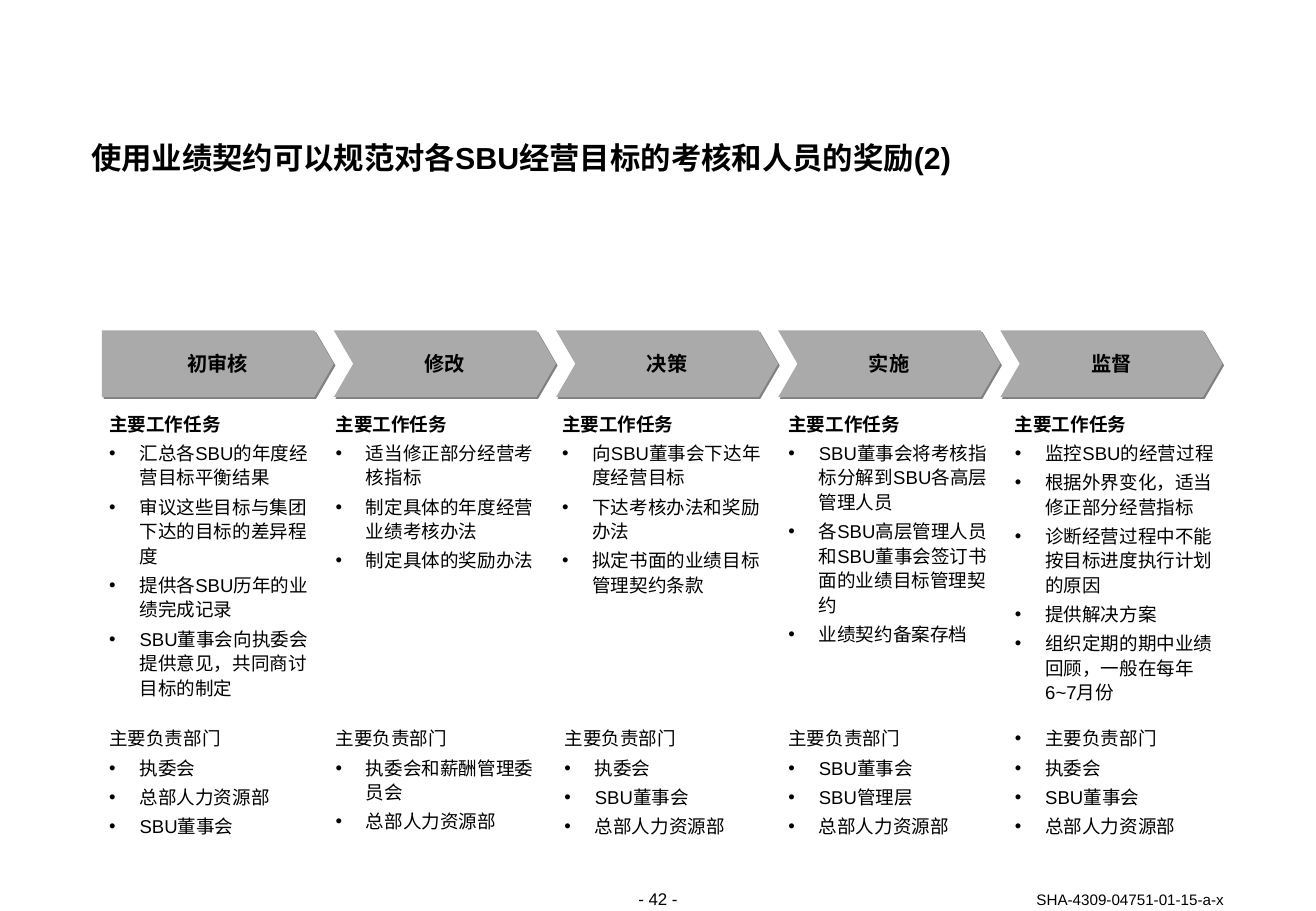
from lxml.etree import SubElement
from pptx import Presentation
from pptx.dml.color import RGBColor
from pptx.enum.lang import MSO_LANGUAGE_ID as Language
from pptx.enum.text import MSO_ANCHOR as Anchor, MSO_AUTO_SIZE as AutoSize, PP_ALIGN as Align
from pptx.oxml.ns import qn
from pptx.util import Inches, Pt

BLACK = RGBColor(0x00, 0x00, 0x00)
GRAY = RGBColor(0xAA, 0xAA, 0xAA)
SHADOW_GRAY = RGBColor(0x80, 0x80, 0x80)

ARROW_TOP, ARROW_HEIGHT, ARROW_POINT = 2.72, 0.55, 0.16
FIRST_ARROW_LEFT, SECOND_ARROW_LEFT, ARROW_STEP = 0.84, 2.75, 1.83
COLUMN_LEFT, COLUMN_SPAN, COLUMN_WIDTH = 0.9, 7.46, 1.66
TASKS_TOP, DEPARTMENTS_TOP = 3.38, 5.97
TASKS_HEADING, DEPARTMENTS_HEADING = "主要工作任务", "主要负责部门"

STAGES = [
    ("初审核",
     ["汇总各SBU的年度经营目标平衡结果", "审议这些目标与集团下达的目标的差异程度",
      "提供各SBU历年的业绩完成记录", "SBU董事会向执委会提供意见，共同商讨目标的制定"],
     ["执委会", "总部人力资源部", "SBU董事会"]),
    ("修改",
     ["适当修正部分经营考核指标", "制定具体的年度经营业绩考核办法", "制定具体的奖励办法"],
     ["执委会和薪酬管理委员会", "总部人力资源部"]),
    ("决策",
     ["向SBU董事会下达年度经营目标", "下达考核办法和奖励办法", "拟定书面的业绩目标管理契约条款"],
     ["执委会", "SBU董事会", "总部人力资源部"]),
    ("实施",
     ["SBU董事会将考核指标分解到SBU各高层管理人员",
      "各SBU高层管理人员和SBU董事会签订书面的业绩目标管理契约", "业绩契约备案存档"],
     ["SBU董事会", "SBU管理层", "总部人力资源部"]),
    ("监督",
     ["监控SBU的经营过程", "根据外界变化，适当修正部分经营指标",
      "诊断经营过程中不能按目标进度执行计划的原因", "提供解决方案",
      "组织定期的期中业绩回顾，一般在每年6~7月份"],
     ["执委会", "SBU董事会", "总部人力资源部"]),
]


class SlideBuilder:
    """Draws styled elements on one slide."""

    def __init__(self, slide, font_name="Arial"):
        self.slide = slide
        self.font_name = font_name

    def add_run(self, paragraph, text, size, bold=False):
        run = paragraph.add_run()
        run.text = text
        font = run.font
        font.name, font.size, font.bold = self.font_name, Pt(size), bold
        font.color.rgb = BLACK
        font.language_id = Language.SIMPLIFIED_CHINESE

    def clear_margins(self, frame):
        frame.margin_left = frame.margin_right = frame.margin_top = frame.margin_bottom = 0

    def add_frame(self, left, top, width, height):
        box = self.slide.shapes.add_textbox(Inches(left), Inches(top), Inches(width), Inches(height))
        frame = box.text_frame
        frame.word_wrap = True
        frame.auto_size = AutoSize.NONE
        self.clear_margins(frame)
        return frame

    def add_line(self, text, left, top, width, height, size, bold=False,
                 align=Align.LEFT, spacing=None, anchor=Anchor.TOP):
        frame = self.add_frame(left, top, width, height)
        frame.vertical_anchor = anchor
        paragraph = frame.paragraphs[0]
        paragraph.alignment = align
        paragraph.line_spacing = spacing
        self.add_run(paragraph, text, size, bold)

    def add_bullet(self, paragraph):
        properties = paragraph._p.get_or_add_pPr()
        properties.set("marL", str(Inches(0.25)))
        properties.set("indent", str(-Inches(0.25)))
        color = SubElement(properties, qn("a:buClr"))
        SubElement(color, qn("a:srgbClr"), val=str(BLACK))
        SubElement(properties, qn("a:buFont"), typeface=self.font_name)
        SubElement(properties, qn("a:buChar"), char="•")

    def add_list(self, heading, items, left, top, width, height,
                 bold_heading=False, bulleted_heading=False):
        frame = self.add_frame(left, top, width, height)
        frame.auto_size = AutoSize.SHAPE_TO_FIT_TEXT
        for index, text in enumerate([heading, *items]):
            paragraph = frame.add_paragraph() if index else frame.paragraphs[0]
            if index or bulleted_heading:
                self.add_bullet(paragraph)
            paragraph.line_spacing = 1.1
            paragraph.space_before = Pt(2.8 if index else 0)
            self.add_run(paragraph, text, 11, bold_heading and index == 0)

    def add_arrow(self, label, left, right, notched):
        bottom, middle = ARROW_TOP + ARROW_HEIGHT, ARROW_TOP + ARROW_HEIGHT / 2
        shoulder = right - ARROW_POINT
        points = [(shoulder, ARROW_TOP), (right, middle), (shoulder, bottom), (left, bottom)]
        if notched:
            points.append((left + ARROW_POINT, middle))
        builder = self.slide.shapes.build_freeform(Inches(left), Inches(ARROW_TOP))
        builder.add_line_segments([(Inches(x), Inches(y)) for x, y in points], close=True)
        shape = builder.convert_to_shape()
        shape.fill.solid()
        shape.fill.fore_color.rgb = GRAY
        shape.line.fill.background()
        self.add_shadow(shape)
        frame = shape.text_frame
        frame.word_wrap = False
        frame.vertical_anchor = Anchor.MIDDLE
        self.clear_margins(frame)
        paragraph = frame.paragraphs[0]
        paragraph.alignment = Align.CENTER
        paragraph.line_spacing = Pt(14)
        self.add_run(paragraph, label, 12, bold=True)

    def add_shadow(self, shape):
        shape.shadow.inherit = False
        effects = shape._element.spPr.find(qn("a:effectLst"))
        shadow = SubElement(effects, qn("a:outerShdw"), blurRad="0", dist=str(Pt(1.4)),
                            dir=str(45 * 60000), algn="ctr", rotWithShape="0")
        SubElement(shadow, qn("a:srgbClr"), val=str(SHADOW_GRAY))


def main():
    presentation = Presentation()
    presentation.slide_width, presentation.slide_height = Inches(10.84), Inches(7.5)
    builder = SlideBuilder(presentation.slides.add_slide(presentation.slide_layouts[6]))

    builder.add_line("使用业绩契约可以规范对各SBU经营目标的考核和人员的奖励(2)",
                     0.75, 1.17, 9.33, 0.28, 18, bold=True, spacing=Pt(20))

    last = len(STAGES) - 1
    for index, (stage, tasks, departments) in enumerate(STAGES):
        arrow_right = SECOND_ARROW_LEFT + index * ARROW_STEP
        arrow_left = arrow_right - ARROW_STEP if index else FIRST_ARROW_LEFT
        builder.add_arrow(stage, arrow_left, arrow_right, notched=index > 0)
        left = COLUMN_LEFT + index * COLUMN_SPAN / last
        builder.add_list(TASKS_HEADING, tasks, left, TASKS_TOP, COLUMN_WIDTH, 2.37,
                         bold_heading=True)
        inset = 0.02 if stage == "决策" else 0
        builder.add_list(DEPARTMENTS_HEADING, departments, left + inset, DEPARTMENTS_TOP,
                         COLUMN_WIDTH - 5 * inset, 0.92, bulleted_heading=index == last)

    builder.add_line("- 42 -", 4.85, 7.32, 1.14, 0.17, 10, align=Align.CENTER)
    builder.add_line("SHA-4309-04751-01-15-a-x", 7.64, 7.33, 2.44, 0.15, 9,
                     align=Align.RIGHT, spacing=Pt(11), anchor=Anchor.BOTTOM)
    presentation.save("out.pptx")


if __name__ == "__main__":
    main()
